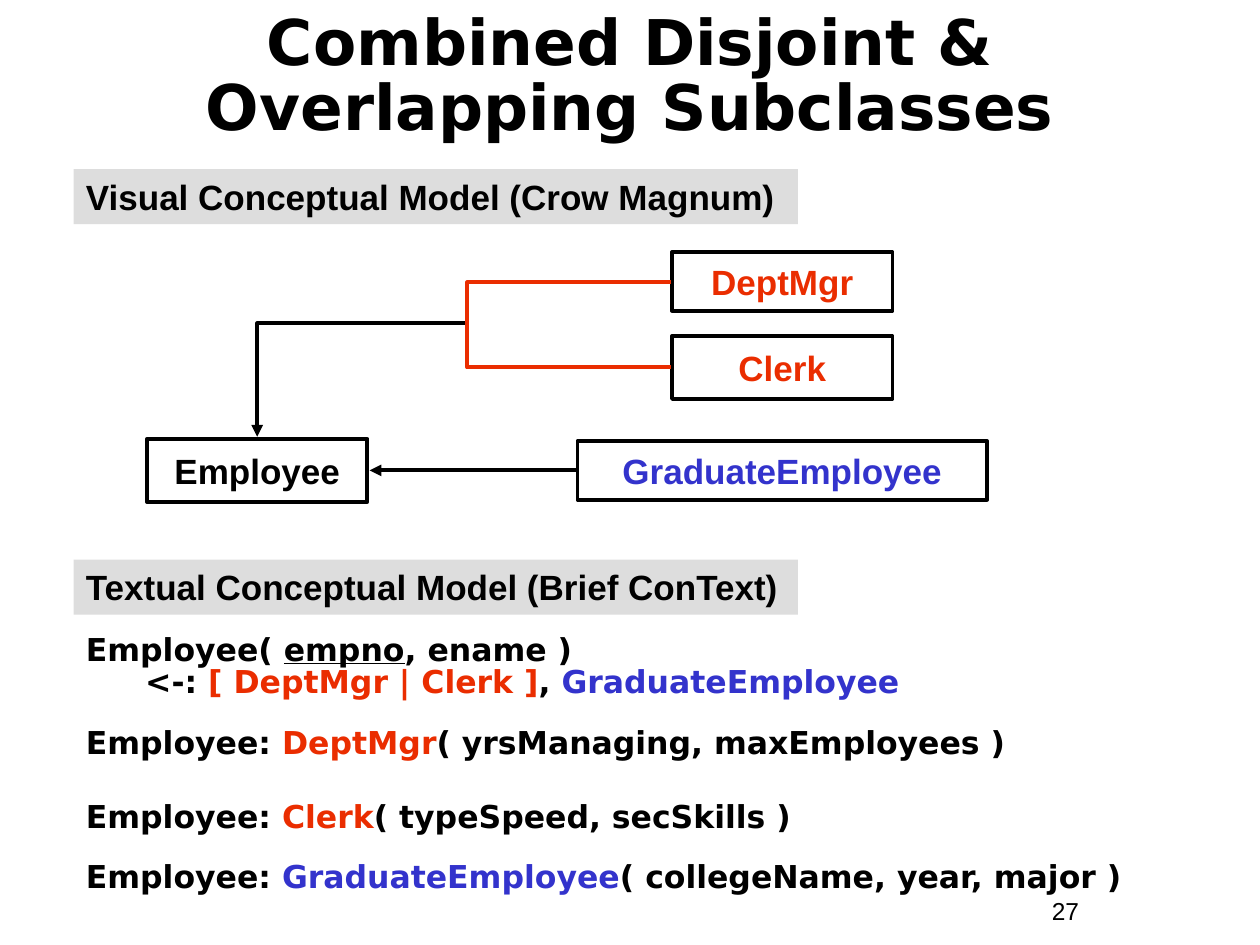
from typing import NamedTuple

from lxml import etree
from pptx import Presentation
from pptx import util as u
from pptx.dml.color import RGBColor
from pptx.enum import shapes, text
from pptx.oxml.ns import qn

HUES = {"ink": "000000", "red": "EA2D00", "blue": "3333CC", "band": "DDDDDD"}
SANS, HEAD = "Arial", "DejaVu Sans"
STEP = u.Inches(1) / 12  # grid of twelve steps to the inch
THICK = u.Pt(2.25)


class Area(NamedTuple):
    col: float
    row: float
    wide: float
    high: float


class Box(NamedTuple):
    label: str
    area: Area
    hue: str


class Band(NamedTuple):
    label: str
    row: float


class Link(NamedTuple):
    start: tuple[float, float]
    end: tuple[float, float]
    hue: str = "ink"
    bent: bool = True
    arrow: bool = False


class Run(NamedTuple):
    words: str
    hue: str = "ink"
    under: bool = False


class Line(NamedTuple):
    runs: list[Run]
    before: float = 0
    hang: float = 0


def grid(*steps: float) -> list[u.Emu]:
    return [u.Emu(round(s * STEP)) for s in steps]


def color(hue: str) -> RGBColor:
    return RGBColor.from_string(HUES[hue])


def write(shape, lines: list[Line], *, size: float, font: str = SANS,
          bold: bool = True, align=text.PP_ALIGN.LEFT,
          anchor=text.MSO_ANCHOR.TOP, space: float = 1, wrap: bool = True) -> None:
    frame = shape.text_frame
    frame.word_wrap, frame.vertical_anchor = wrap, anchor
    for i, line in enumerate(lines):
        para = frame.add_paragraph() if i else frame.paragraphs[0]
        para.alignment, para.line_spacing = align, space
        if line.before:
            para.space_before = u.Pt(line.before)
        if line.hang:
            props = para._p.get_or_add_pPr()
            props.set("marL", str(u.Inches(line.hang)))
            props.set("indent", str(-u.Inches(line.hang)))
        for part in line.runs:
            if part.words == "\n":
                para.add_line_break()
                continue
            run = para.add_run()
            run.text = part.words
            run.font.name, run.font.size = font, u.Pt(size)
            run.font.bold, run.font.underline = bold, part.under
            run.font.color.rgb = color(part.hue)


def note(slide, area: Area, lines: list[Line], **style) -> None:
    write(slide.shapes.add_textbox(*grid(*area)), lines, **style)


def rect(slide, area: Area):
    shape = slide.shapes.add_shape(shapes.MSO_SHAPE.RECTANGLE, *grid(*area))
    shape.shadow.inherit = False
    return shape


def draw_box(slide, box: Box) -> None:
    shape = rect(slide, box.area)
    shape.fill.background()
    shape.line.color.rgb, shape.line.width = color("ink"), THICK
    write(shape, [Line([Run(box.label, box.hue)])], size=20, wrap=False,
          align=text.PP_ALIGN.CENTER, anchor=text.MSO_ANCHOR.MIDDLE)


def draw_band(slide, band: Band) -> None:
    shape = rect(slide, Area(7, band.row, 69, 5.25))
    shape.fill.solid()
    shape.fill.fore_color.rgb = color("band")
    shape.line.fill.background()
    write(shape, [Line([Run(band.label)])], size=20)


def draw_link(slide, link: Link) -> None:
    kind = shapes.MSO_CONNECTOR.ELBOW if link.bent else shapes.MSO_CONNECTOR.STRAIGHT
    wire = slide.shapes.add_connector(kind, *grid(*link.start, *link.end))
    wire.line.color.rgb, wire.line.width = color(link.hue), THICK
    props = wire._element.spPr
    if link.bent:  # a single corner: across, then up or down
        props.find(qn("a:prstGeom")).set("prst", "bentConnector2")
    if link.arrow:
        etree.SubElement(wire.line._get_or_add_ln(), qn("a:tailEnd"), type="triangle")
    etree.SubElement(props, qn("a:effectLst"))


BANDS = [
    Band("Visual Conceptual Model (Crow Magnum)", 16.1),
    Band("Textual Conceptual Model (Brief ConText)", 53.3),
]
BOXES = [
    Box("Employee", Area(14, 41.8, 21, 6), "ink"),
    Box("DeptMgr", Area(64, 24, 21, 5.6), "red"),
    Box("Clerk", Area(64, 32, 21, 6), "red"),
    Box("GraduateEmployee", Area(55, 42, 39, 5.6), "blue"),
]
FORK = (44.5, 30.8)
LINKS = [
    Link((54.9, 44.8), (35.2, 44.8), bent=False, arrow=True),
    Link(FORK, (24.5, 41.6), arrow=True),
    Link((63.9, 26.9), FORK, "red"),
    Link((63.9, 35), FORK, "red"),
]
MODEL = [
    Line([Run("Employee( "), Run("empno", under=True), Run(", ename )"), Run("\n"),
          Run("<-: "), Run("[ DeptMgr | Clerk ]", "red"), Run(", "),
          Run("GraduateEmployee", "blue")], hang=0.47),
    Line([Run("Employee: "), Run("DeptMgr", "red"),
          Run("( yrsManaging, maxEmployees )")], 16, 0.38),
    Line([Run("Employee: "), Run("Clerk", "red"),
          Run("( typeSpeed, secSkills )")], 24, 0.38),
    Line([Run("Employee: "), Run("GraduateEmployee", "blue"),
          Run("( collegeName, year, major )")], 16, 0.38),
]


def main() -> None:
    deck = Presentation()
    deck.slide_width, deck.slide_height = u.Inches(10), u.Inches(7.5)
    slide = deck.slides.add_slide(deck.slide_layouts[6])

    # Title and page number
    note(slide, Area(4, 2, 112, 11),
         [Line([Run("Combined Disjoint & Overlapping Subclasses")])],
         size=36, font=HEAD, space=0.85, align=text.PP_ALIGN.CENTER,
         anchor=text.MSO_ANCHOR.MIDDLE)
    note(slide, Area(99, 84.7, 11, 4), [Line([Run("27")])], size=14, bold=False)

    # Section headings
    for band in BANDS:
        draw_band(slide, band)

    # Class diagram
    for box in BOXES:
        draw_box(slide, box)
    for link in LINKS:
        draw_link(slide, link)

    # Textual model
    note(slide, Area(7, 60, 105, 25), MODEL, size=18, font=HEAD, space=0.85)

    deck.save("out.pptx")


if __name__ == "__main__":
    main()
